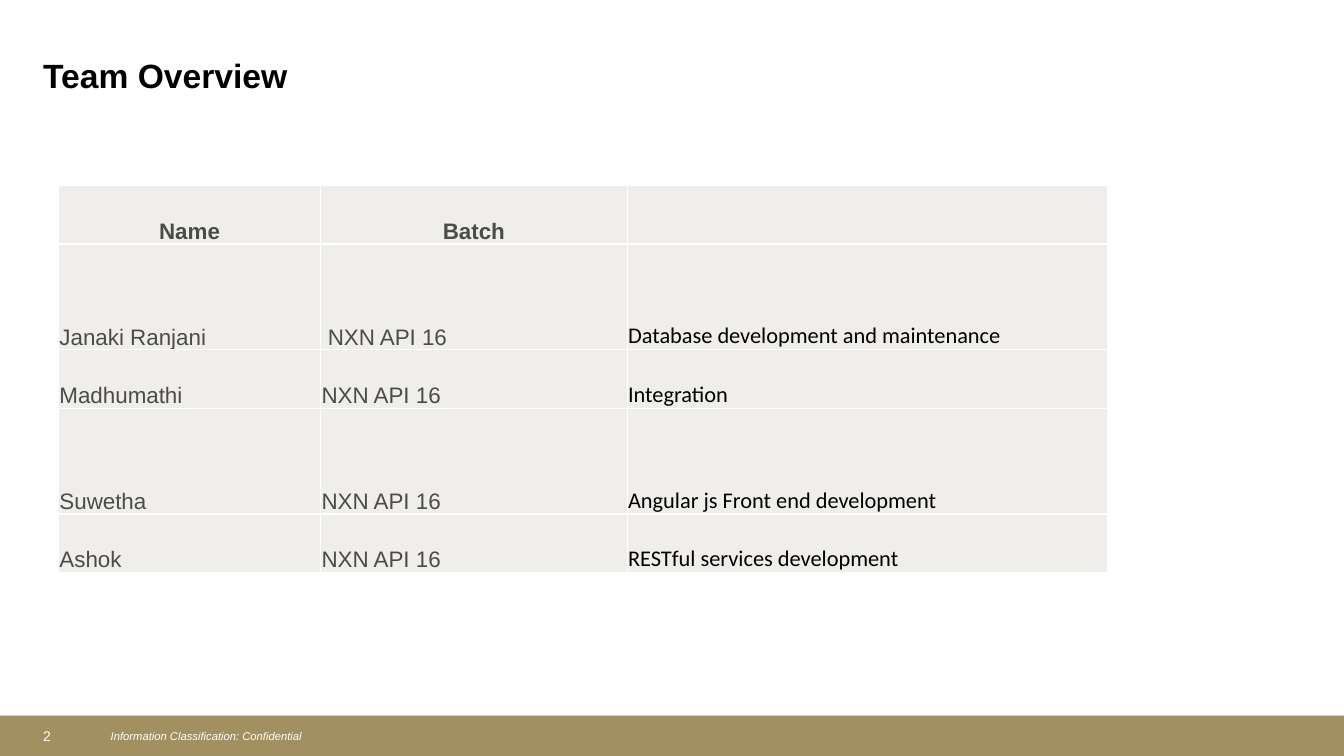
from dataclasses import dataclass

from lxml.etree import SubElement
from pptx import Presentation
from pptx.dml.color import RGBColor as RGB
from pptx.enum.shapes import MSO_SHAPE as SHAPE
from pptx.enum.text import MSO_ANCHOR as ANCHOR, PP_ALIGN as ALIGN
from pptx.oxml.ns import qn
from pptx.util import Inches, Pt


@dataclass(frozen=True)
class Theme:
    white: str = "FFFFFF"
    black: str = "000000"
    gray: str = "4B4B4B"
    gold: str = "A29060"
    cell: str = "F0EEEA"
    title: int = 24
    body: int = 16
    page: int = 10
    note: int = 8
    sans: str = "Arial"
    alt: str = "Calibri"


theme = Theme()


def add_run(para, text, size, color, face=theme.sans, bold=False, italic=False):
    run = para.add_run()
    run.text = text
    font = run.font
    font.name, font.size = face, Pt(size)
    font.bold, font.italic = bold, italic
    font.color.rgb = RGB.from_string(color)


def add_label(left, top, width, height, anchor):
    """Add an empty wrapping text box and return its paragraph."""
    box = slide.shapes.add_textbox(Inches(left), Inches(top), Inches(width), Inches(height))
    frame = box.text_frame
    frame.word_wrap = True
    frame.vertical_anchor = anchor
    return frame.paragraphs[0]


deck = Presentation()
deck.slide_width, deck.slide_height = Inches(13.33), Inches(7.5)
slide = deck.slides.add_slide(deck.slide_layouts[6])

# Footer
band = slide.shapes.add_shape(SHAPE.RECTANGLE, 0, Inches(7.1), deck.slide_width, Inches(0.4))
band.shadow.inherit = False
band.fill.solid()
band.fill.fore_color.rgb = RGB.from_string(theme.gold)
band.line.fill.background()

note = add_label(1, 7.19, 9.27, 0.24, ANCHOR.MIDDLE)
add_run(note, "Information Classification: Confidential", theme.note, theme.white, italic=True)
page = add_label(0.33, 7.12, 0.6, 0.38, ANCHOR.MIDDLE)
add_run(page, "2", theme.page, theme.white)
for para in (note, page):
    para.line_spacing = 0.95

# Title
title = add_label(0.33, 0.5, 12.66, 0.46, ANCHOR.TOP)
add_run(title, "Team Overview", theme.title, theme.black, bold=True)

# Team table
team = [
    ("Name", "Batch", ""),
    ("Janaki Ranjani", " NXN API 16", "Database development and maintenance"),
    ("Madhumathi", "NXN API 16", "Integration"),
    ("Suwetha", "NXN API 16", "Angular js Front end development"),
    ("Ashok", "NXN API 16", "RESTful services development"),
]
widths = [2.6, 3.04, 4.77]
heights = [0.58, 1.05, 0.58, 1.05, 0.58]

table = slide.shapes.add_table(
    len(team), len(widths), Inches(0.58), Inches(1.84),
    Inches(sum(widths)), Inches(sum(heights))).table
for col, width in zip(table.columns, widths):
    col.width = Inches(width)
for row, height in zip(table.rows, heights):
    row.height = Inches(height)

for r, member in enumerate(team):
    for c, text in enumerate(member):
        cell = table.cell(r, c)
        cell.vertical_anchor = ANCHOR.BOTTOM
        cell.margin_left = cell.margin_right = cell.margin_top = Inches(0.01)
        cell.margin_bottom = 0
        props = cell._tc.get_or_add_tcPr()
        for side in ("a:lnL", "a:lnR", "a:lnT", "a:lnB"):
            edge = SubElement(props, qn(side), w=str(Pt(1)))
            SubElement(SubElement(edge, qn("a:solidFill")), qn("a:srgbClr"), val=theme.white)
        cell.fill.solid()
        cell.fill.fore_color.rgb = RGB.from_string(theme.cell)
        if not text:
            continue
        para = cell.text_frame.paragraphs[0]
        para.alignment = ALIGN.CENTER if r == 0 else ALIGN.LEFT
        color, face = (theme.black, theme.alt) if c == 2 else (theme.gray, theme.sans)
        add_run(para, text, theme.body, color, face, bold=r == 0)

deck.save("out.pptx")
